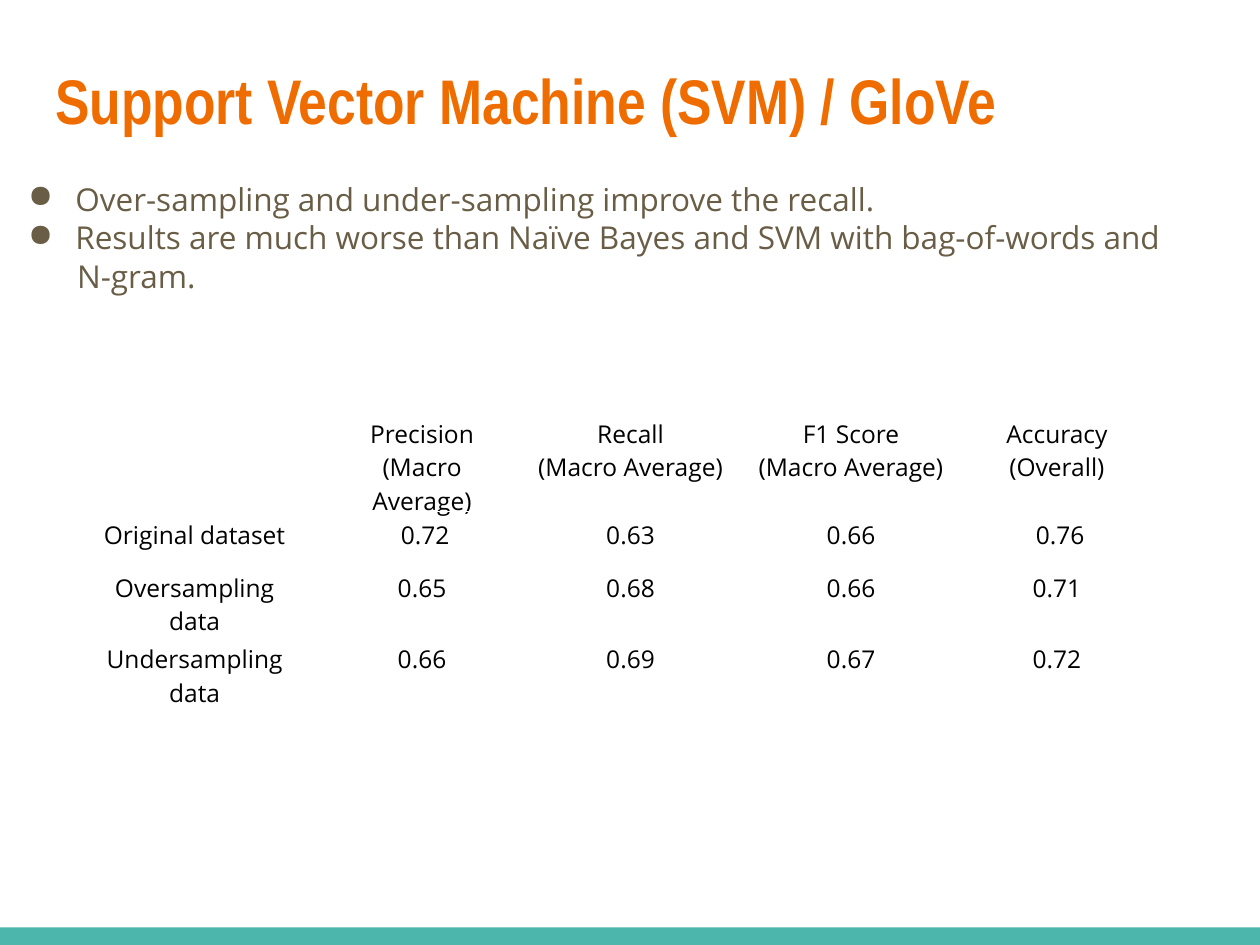
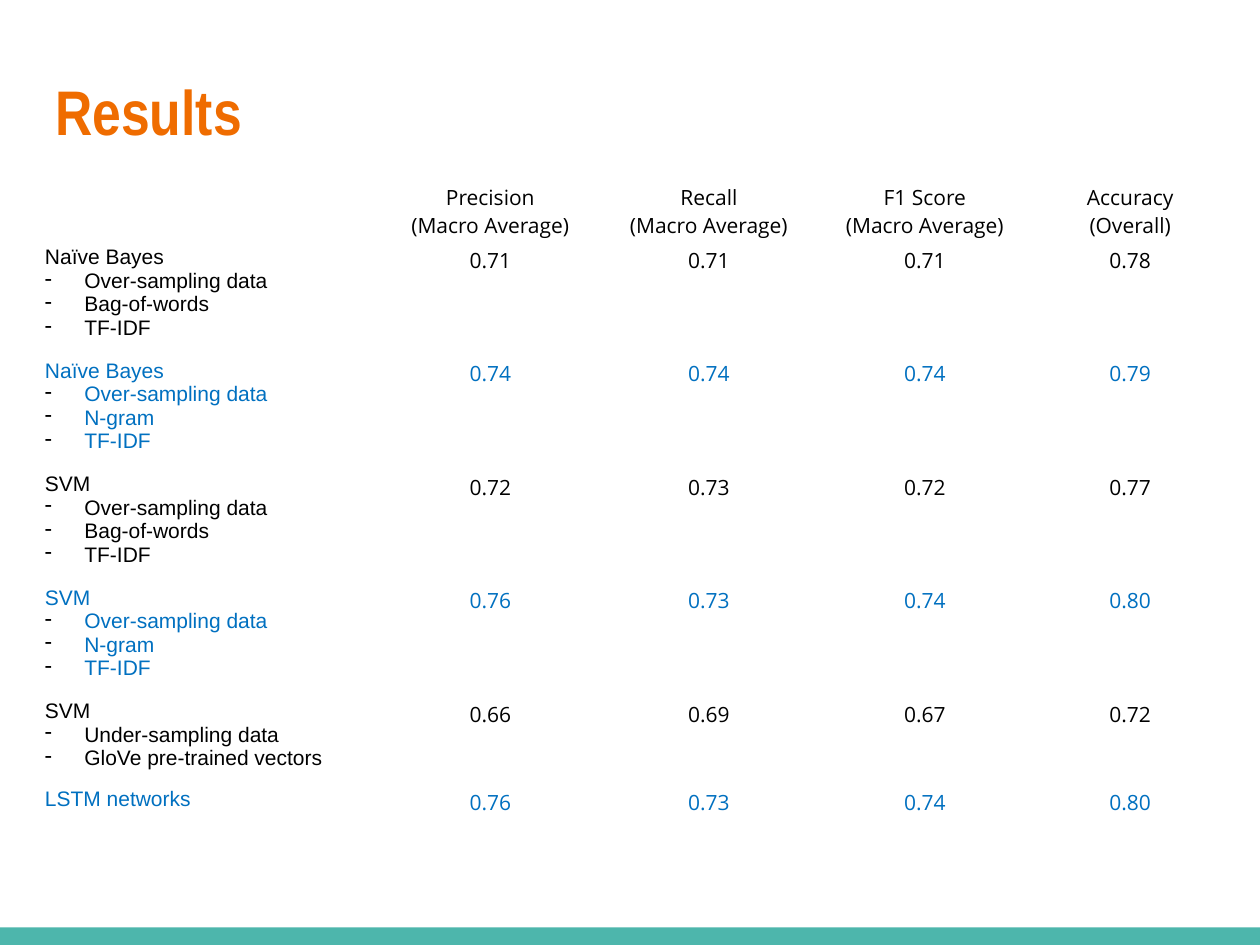
from lxml.etree import SubElement
from pptx import Presentation
from pptx.dml.color import RGBColor
from pptx.enum.shapes import MSO_SHAPE
from pptx.enum.text import MSO_ANCHOR, PP_ALIGN
from pptx.oxml.ns import qn
from pptx.util import Pt

COLORS = {
    "band": "4DB6AC",
    "title": "EF6C00",
    "body": "695D46",
    "text": "000000",
    "highlight": "0070C0",
}
TITLE_FONT, BODY_FONT, METHOD_FONT = "Arial Narrow", "Open Sans", "Arial"
HEADER = ["", "Precision\n(Macro Average)", "Recall\n(Macro Average)",
          "F1 Score\n(Macro Average)", "Accuracy\n(Overall)"]


def write(frame, text, size=12, font=BODY_FONT, color="text", bold=False,
          align=PP_ALIGN.LEFT, spacing=None, margin=0, indent=0,
          bullet=None, bullet_color="text"):
    for line in text.split("\n"):
        para = frame.add_paragraph() if frame.text else frame.paragraphs[0]
        para.alignment = align
        if spacing:
            para.line_spacing = spacing
        properties = para._p.get_or_add_pPr()
        properties.set("marL", str(Pt(margin)))
        properties.set("indent", str(Pt(indent)))
        if bullet:
            tint = SubElement(properties, qn("a:buClr"))
            SubElement(tint, qn("a:srgbClr")).set("val", COLORS[bullet_color])
            SubElement(properties, qn("a:buChar")).set("char", bullet)
        span = para.add_run()
        span.text = line
        span.font.size = Pt(size)
        span.font.name = font
        span.font.bold = bold
        span.font.color.rgb = RGBColor.from_string(COLORS[color])


def add_grid(page, left, top, widths, heights):
    table = page.shapes.add_table(len(heights), len(widths), Pt(left), Pt(top),
                                  Pt(sum(widths)), Pt(sum(heights))).table
    table.first_row = table.horz_banding = False
    for column, width in zip(table.columns, widths):
        column.width = Pt(width)
    for row, height in zip(table.rows, heights):
        row.height = Pt(height)
    for cell in table.iter_cells():
        cell.fill.background()
    return table


deck = Presentation()
deck.slide_width, deck.slide_height = Pt(720), Pt(540)

pages = []
for title, top in [("Support Vector Machine (SVM) / GloVe", 28), ("Results", 34)]:
    page = deck.slides.add_slide(deck.slide_layouts[6])
    band = page.shapes.add_shape(MSO_SHAPE.RECTANGLE, 0, Pt(530), Pt(720), Pt(10))
    band.shadow.inherit = False
    band.fill.solid()
    band.fill.fore_color.rgb = RGBColor.from_string(COLORS["band"])
    band.line.fill.background()
    box = page.shapes.add_textbox(Pt(24.5), Pt(top), Pt(671), Pt(74))
    frame = box.text_frame
    frame.word_wrap = True
    frame.vertical_anchor = MSO_ANCHOR.TOP
    frame.margin_left = frame.margin_right = Pt(7.2)
    frame.margin_top = frame.margin_bottom = Pt(7.2)
    write(frame, title, size=36, font=TITLE_FONT, color="title", bold=True)
    pages.append(page)
glove_page, results_page = pages

datasets = [
    HEADER,
    ["Original dataset", " 0.72", "0.63", "0.66", " 0.76"],
    ["Oversampling\ndata", "0.65", "0.68", "0.66", "0.71"],
    ["Undersampling\ndata", "0.66", "0.69", "0.67", "0.72"],
]
table = add_grid(glove_page, 36, 234.7, [150.5, 109.4, 128.9, 123.1, 112.3],
                 [30.3, 30.3, 30.3, 35.3])
for row, texts in enumerate(datasets):
    for column, text in enumerate(texts):
        if text:
            write(table.cell(row, column).text_frame, text, size=14,
                  align=PP_ALIGN.CENTER)

box = glove_page.shapes.add_textbox(0, Pt(95), Pt(740), Pt(119.5))
frame = box.text_frame
frame.word_wrap = True
frame.margin_left = frame.margin_right = Pt(7.2)
frame.margin_top = frame.margin_bottom = Pt(7.2)
body = dict(size=18, color="body", spacing=1.02)
write(frame, "Over-sampling and under-sampling improve the recall.\n"
      "Results are much worse than Naïve Bayes and SVM with bag-of-words and",
      margin=36, indent=-27, bullet="●", bullet_color="body", **body)
write(frame, "N-gram.", margin=37, **body)

methods = [
    ("Naïve Bayes", "Over-sampling data\nBag-of-words\nTF-IDF",
     ["0.71", "0.71", "0.71", "0.78"]),
    ("Naïve Bayes", "Over-sampling data\nN-gram\nTF-IDF",
     ["0.74", "0.74", "0.74", "0.79"]),
    ("SVM", "Over-sampling data\nBag-of-words\nTF-IDF",
     ["0.72", "0.73", "0.72", "0.77"]),
    ("SVM", "Over-sampling data\nN-gram\nTF-IDF",
     ["0.76", "0.73", "0.74", "0.80"]),
    ("SVM", "Under-sampling data\nGloVe pre-trained vectors",
     ["0.66", "0.69", "0.67", "0.72"]),
    ("LSTM networks", "", ["0.76", "0.73", "0.74", "0.80"]),
]
table = add_grid(results_page, 18.5, 100.8, [198.7, 126, 123.8, 123.1, 111.6],
                 [29.5] * (len(methods) + 1))
for column, text in enumerate(HEADER):
    if text:
        write(table.cell(0, column).text_frame, text, align=PP_ALIGN.CENTER)
for row, (method, features, scores) in enumerate(methods, 1):
    color = "text" if row % 2 else "highlight"
    frame = table.cell(row, 0).text_frame
    write(frame, method, font=METHOD_FONT, color=color)
    if features:
        write(frame, features, font=METHOD_FONT, color=color,
              margin=22.5, indent=-22.5, bullet="-")
    for column, score in enumerate(scores, 1):
        write(table.cell(row, column).text_frame, score, color=color,
              align=PP_ALIGN.CENTER)

deck.save("out.pptx")
